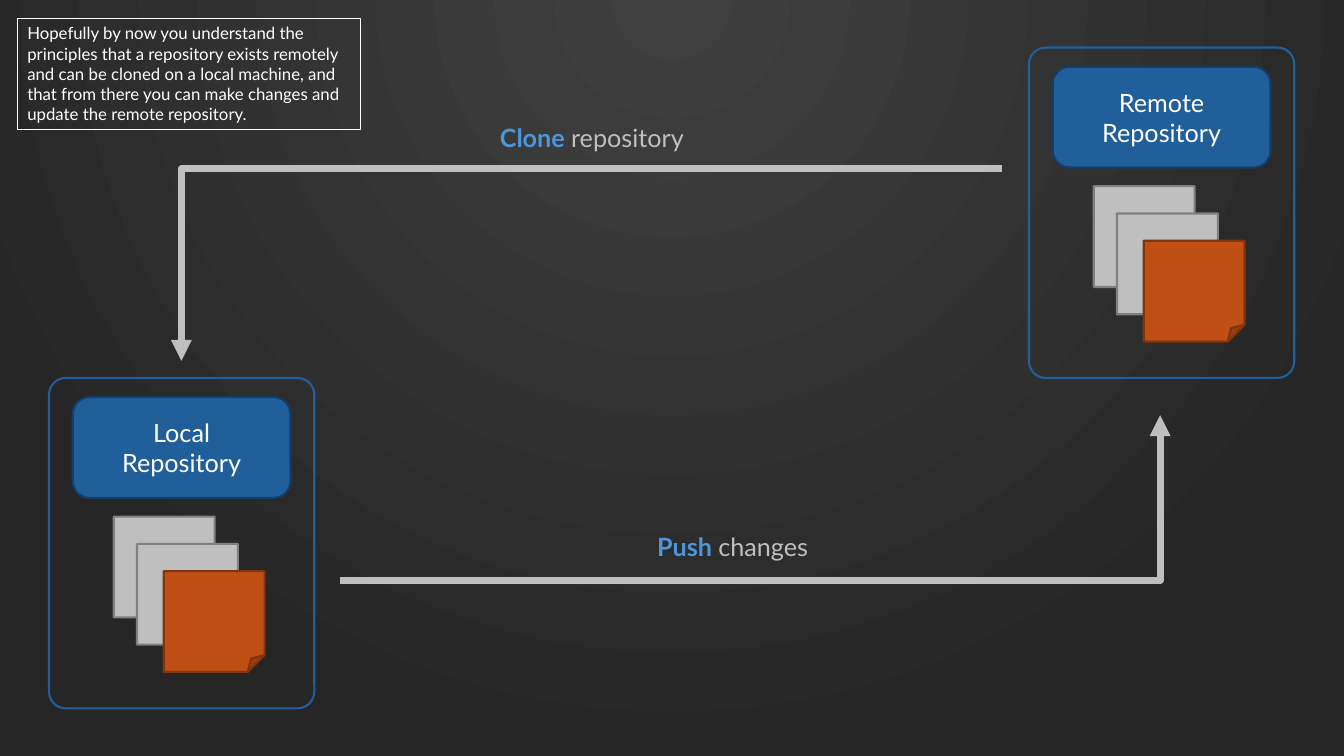
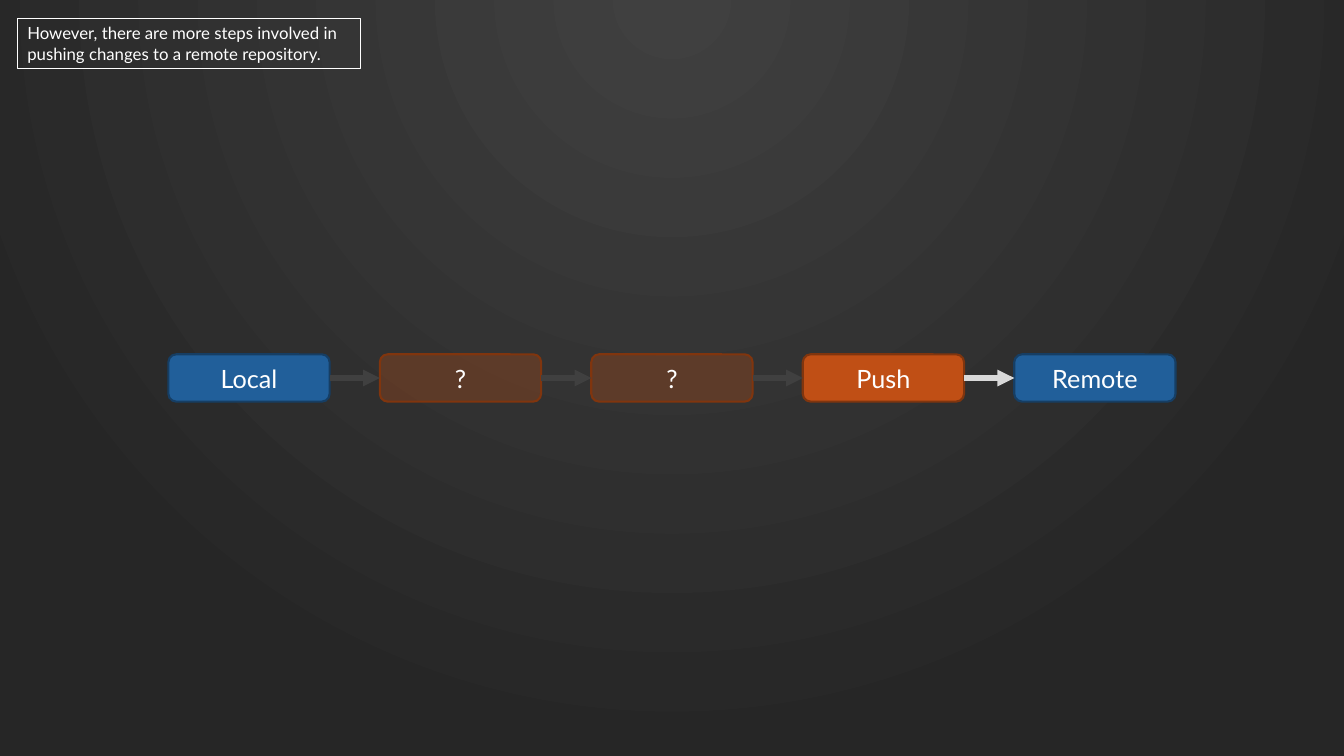
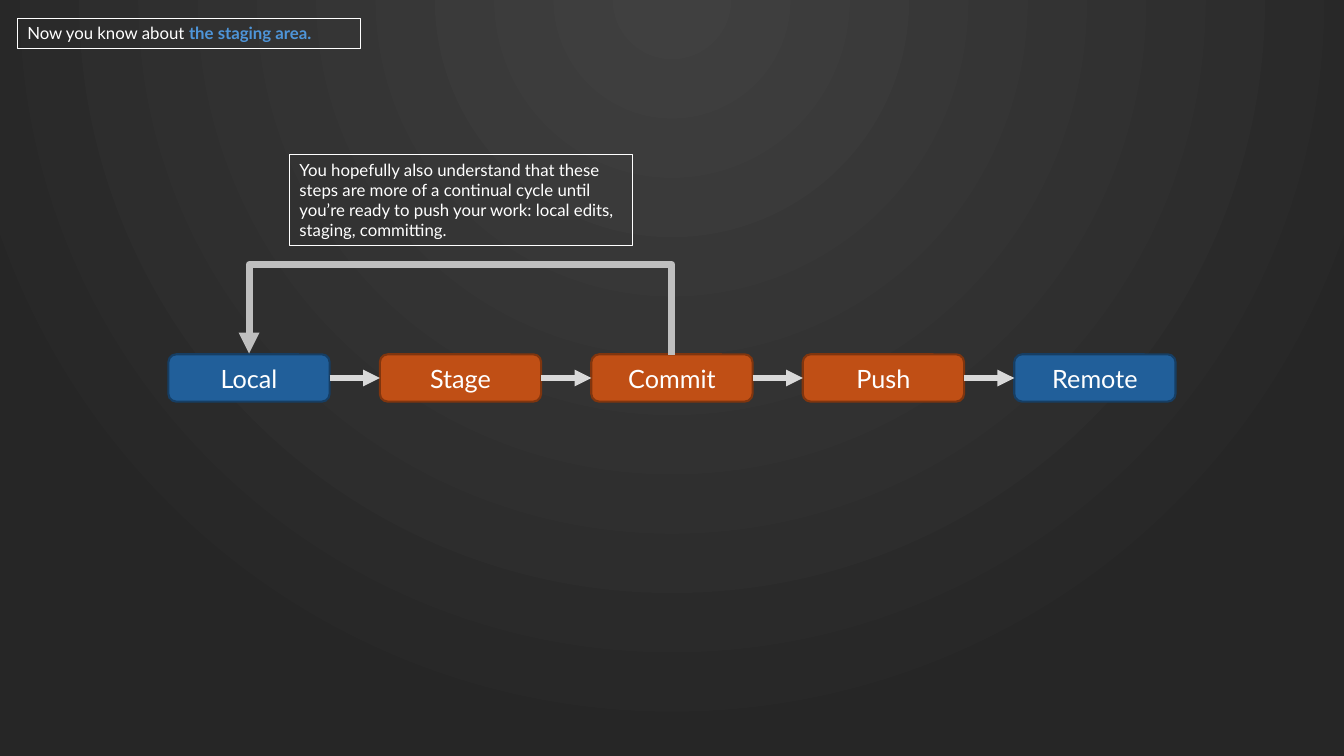
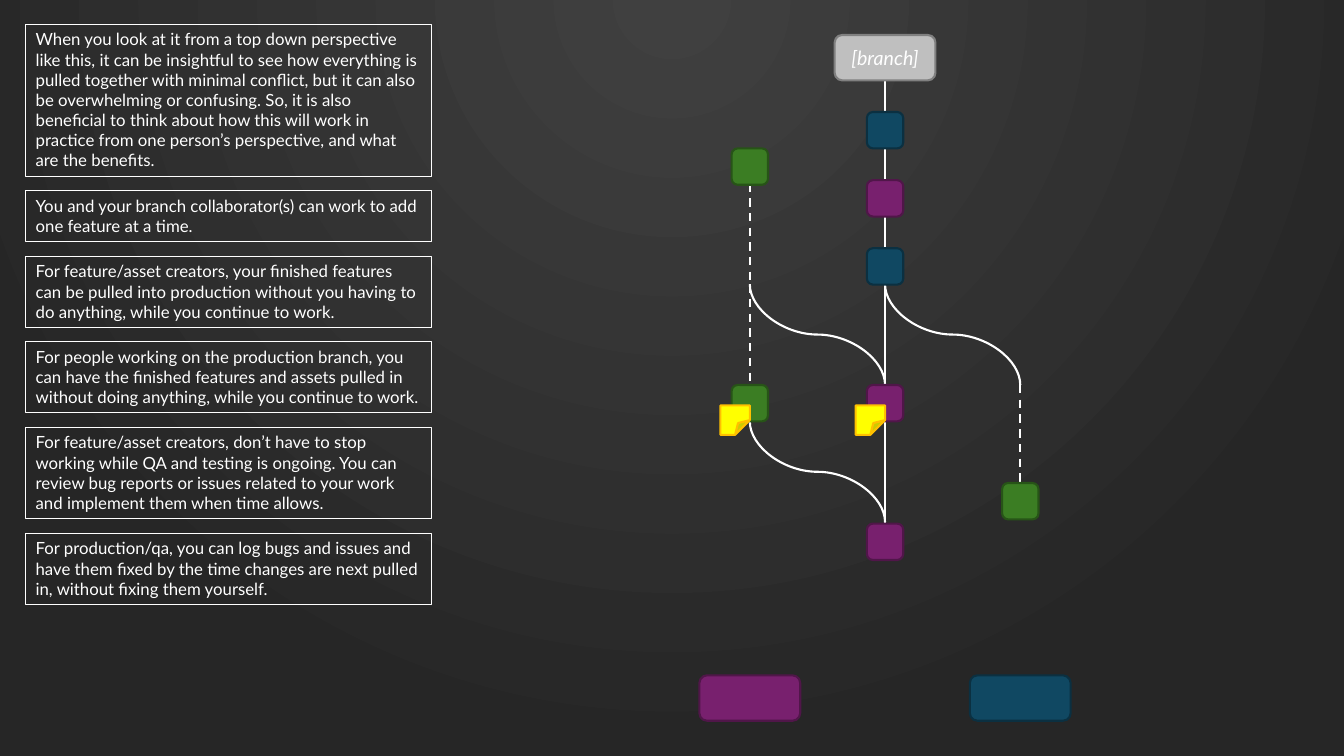
import lxml.etree
import pptx
import pptx.dml.color
import pptx.enum.dml
import pptx.enum.shapes
import pptx.enum.text
import pptx.oxml.ns
import pptx.util

Pt = pptx.util.Pt
RGBColor = pptx.dml.color.RGBColor
qn = pptx.oxml.ns.qn
SHAPE = pptx.enum.shapes.MSO_SHAPE
CONNECTOR = pptx.enum.shapes.MSO_CONNECTOR
ALIGN = pptx.enum.text.PP_ALIGN
ANCHOR = pptx.enum.text.MSO_ANCHOR
AUTO_SIZE = pptx.enum.text.MSO_AUTO_SIZE
DASH = pptx.enum.dml.MSO_LINE.DASH

FONT = "Lato"
WHITE = RGBColor(0xFF, 0xFF, 0xFF)
SILVER = RGBColor(0xBF, 0xBF, 0xBF)
PALE = RGBColor(0xD9, 0xD9, 0xD9)
CHARCOAL = RGBColor(0x40, 0x40, 0x40)
NEAR_BLACK = RGBColor(0x26, 0x26, 0x26)
HIGHLIGHT = RGBColor(0x4E, 0x95, 0xD9)

# Fill and outline pairs
BLUE = (RGBColor(0x21, 0x5F, 0x9A), RGBColor(0x16, 0x3E, 0x64))
ORANGE = (RGBColor(0xC0, 0x4F, 0x15), RGBColor(0x80, 0x35, 0x0E))
GRAY = (SILVER, RGBColor(0x80, 0x80, 0x80))
TEAL = (RGBColor(0x10, 0x48, 0x62), RGBColor(0x0B, 0x30, 0x41))
PURPLE = (RGBColor(0x78, 0x20, 0x6E), RGBColor(0x50, 0x16, 0x49))
GREEN = (RGBColor(0x3B, 0x7D, 0x23), RGBColor(0x27, 0x54, 0x17))
YELLOW = (RGBColor(0xFF, 0xFF, 0x00), RGBColor(0xFF, 0xC0, 0x00))
HOLLOW_BLUE = (None, BLUE[0])
HOLLOW_WHITE = (None, WHITE)

# Content: notes are (text, number of lines)
CLONE_NOTE = (
    "Hopefully by now you understand the principles that a repository exists remotely "
    "and can be cloned on a local machine, and that from there you can make changes and "
    "update the remote repository.", 5)
REPOSITORIES = [("Remote\nRepository", 735, 34), ("Local\nRepository", 35, 270)]
TRANSFERS = [
    ("Clone ", "repository", (350, 83.5, 147, 29), (715.7, 120.3), (129.6, 257.8)),
    ("Push ", "changes", (462.3, 376, 125, 29), (242.6, 414.7), (828.7, 296.6)),
]
STEPS_NOTE = (
    "However, there are more steps involved in pushing changes to a remote repository.", 2)
UNKNOWN_STEPS = [("Local", BLUE), ("?", ORANGE), ("?", ORANGE), ("Push", ORANGE),
                 ("Remote", BLUE)]
KNOWN_STEPS = [("Local", BLUE), ("Stage", ORANGE), ("Commit", ORANGE), ("Push", ORANGE),
               ("Remote", BLUE)]
CYCLE_NOTE = (
    "You hopefully also understand that these steps are more of a continual cycle until "
    "you’re ready to push your work: local edits, staging, committing.", 4)
BENEFITS = [
    ("When you look at it from a top down perspective like this, it can be insightful to "
     "see how everything is pulled together with minimal conflict, but it can also be "
     "overwhelming or confusing. So, it is also beneficial to think about how this will "
     "work in practice from one person’s perspective, and what are the benefits.", 7),
    ("You and your branch collaborator(s) can work to add one feature at a time.", 2),
    ("For feature/asset creators, your finished features can be pulled into production "
     "without you having to do anything, while you continue to work.", 3),
    ("For people working on the production branch, you can have the finished features "
     "and assets pulled in without doing anything, while you continue to work.", 3),
    ("For feature/asset creators, don’t have to stop working while QA and testing is "
     "ongoing. You can review bug reports or issues related to your work and implement "
     "them when time allows.", 4),
    ("For production/qa, you can log bugs and issues and have them fixed by the time "
     "changes are next pulled in, without fixing them yourself.", 3),
]

# Branch diagram: columns are centres, commits are (column, top, colours)
LEFT, MIDDLE, RIGHT = 535.6, 632.2, 728.8
COMMITS = [
    (MIDDLE, 80, TEAL), (MIDDLE, 128.7, PURPLE), (MIDDLE, 177.3, TEAL),
    (MIDDLE, 275, PURPLE), (MIDDLE, 374, PURPLE),
    (LEFT, 106, GREEN), (LEFT, 275, GREEN), (RIGHT, 345, GREEN),
]
STRAIGHT_LINKS = [(57.6, 80), (106, 128.7), (154.7, 177.3), (203, 275), (301.5, 374)]
DASHED_LINKS = [(LEFT, 131, 203), (LEFT, 203, 275), (RIGHT, 275, 347)]
MERGES = [(LEFT, MIDDLE, 203), (MIDDLE, RIGHT, 203), (LEFT, MIDDLE, 301)]
MERGE_HEIGHT = 72
COMMIT_SIZE = 26
PILL_WIDTH, PILL_HEIGHT = 72, 32.4
PILLS = [(MIDDLE, 25, GRAY, "[branch]"), (LEFT, 482.4, PURPLE, ""),
         (RIGHT, 482.4, TEAL, "")]
STICKERS = [LEFT, MIDDLE]

NOTE_WIDTH = 245
STEP_WIDTH, STEP_HEIGHT, STEP_PITCH = 115.2, 33.8, 151.05
STEP_LEFT, STEP_TOP = 120.3, 253.1


def child(parent, tag, **attributes):
    return lxml.etree.SubElement(parent, qn(tag), attributes)


def set_adjustment(properties, name, value):
    """Set a preset outline's adjustment, given as a fraction."""
    guides = properties.find(qn("a:prstGeom")).find(qn("a:avLst"))
    child(guides, "a:gd", name=name, fmla=f"val {round(value * 100000)}")


def set_background(master):
    """Give every slide a radial gradient centred above the top edge."""
    master.background.fill.gradient()
    gradient = master.element.find(".//" + qn("a:gradFill"))
    for part in list(gradient):
        gradient.remove(part)
    stops = child(gradient, "a:gsLst")
    for position, color in (("0", CHARCOAL), ("100000", NEAR_BLACK)):
        child(child(stops, "a:gs", pos=position), "a:srgbClr", val=str(color))
    circle = child(gradient, "a:path", path="circle")
    child(circle, "a:fillToRect", l="50000", t="-80000", r="50000", b="180000")


def add_text(paragraph, text, size, color=WHITE, bold=False, italic=False):
    for number, line in enumerate(text.split("\n")):
        if number:
            paragraph.add_line_break()
        run = paragraph.add_run()
        run.text = line
        run.font.name = FONT
        run.font.size = Pt(size)
        run.font.color.rgb = color
        run.font.bold = bold
        run.font.italic = italic


def add_box(slide, kind, box, colors, text="", size=18, italic=False, corner=None,
            opacity=None, line_width=1.5):
    shape = slide.shapes.add_shape(kind, *map(Pt, box))
    shape.shadow.inherit = False
    fill, outline = colors
    if fill is None:
        shape.fill.background()
    else:
        shape.fill.solid()
        shape.fill.fore_color.rgb = fill
    if opacity is not None:
        color = shape.element.spPr.find(qn("a:solidFill")).find(qn("a:srgbClr"))
        child(color, "a:alpha", val=str(opacity * 1000))
    shape.line.color.rgb = outline
    shape.line.width = Pt(line_width)
    if corner is not None:
        set_adjustment(shape.element.spPr, "adj", corner)
    if text:
        shape.text_frame.vertical_anchor = ANCHOR.MIDDLE
        paragraph = shape.text_frame.paragraphs[0]
        paragraph.alignment = ALIGN.CENTER
        add_text(paragraph, text, size, italic=italic)
    return shape


def add_note(slide, left, top, note, width=NOTE_WIDTH, highlight=""):
    """Draw an outlined note and return its height."""
    text, lines = note
    height = 7.2 + 14.5 * lines
    shape = add_box(slide, SHAPE.RECTANGLE, (left, top, width, height), HOLLOW_WHITE,
                    line_width=0.75)
    frame = shape.text_frame
    frame.word_wrap = True
    frame.auto_size = AUTO_SIZE.SHAPE_TO_FIT_TEXT
    frame.vertical_anchor = ANCHOR.TOP
    paragraph = frame.paragraphs[0]
    paragraph.alignment = ALIGN.LEFT
    add_text(paragraph, text, 12)
    if highlight:
        add_text(paragraph, highlight, 12, HIGHLIGHT, bold=True)
    return height


def connect(slide, kind, start, end, color=WHITE, width=1.5, arrow=False, dashed=False,
            upright=False, preset=None, bend=None):
    """Join two points; an upright connector leaves and arrives vertically."""
    points = [start, end]
    if upright:
        middle_x, middle_y = ((a + b) / 2 for a, b in zip(start, end))
        points = [(middle_x - (y - middle_y), middle_y + (x - middle_x))
                  for x, y in points]
    connector = slide.shapes.add_connector(
        kind, *(Pt(value) for point in points for value in point))
    connector.line.color.rgb = color
    connector.line.width = Pt(width)
    if dashed:
        connector.line.dash_style = DASH
    properties = connector.element.spPr
    if upright:
        properties.find(qn("a:xfrm")).set("rot", "16200000")
    if preset:
        properties.find(qn("a:prstGeom")).set("prst", preset)
    if bend is not None:
        set_adjustment(properties, "adj1", bend)
    if arrow:
        child(properties.find(qn("a:ln")), "a:tailEnd", type="triangle")
    child(properties, "a:effectLst")


def add_repository(slide, name, left, top):
    add_box(slide, SHAPE.ROUNDED_RECTANGLE, (left + 17, top + 13.7, 155.5, 72), BLUE, name)
    add_box(slide, SHAPE.ROUNDED_RECTANGLE, (left, top, 189.5, 236), HOLLOW_BLUE,
            corner=0.063)
    for across, down, colors in ((0, 0, GRAY), (16.6, 19.5, GRAY), (35.7, 39, ORANGE)):
        add_box(slide, SHAPE.FOLDED_CORNER,
                (left + 46.3 + across, top + 99 + down, 72, 72), colors)


def add_steps(slide, steps):
    middle = STEP_TOP + STEP_HEIGHT / 2
    for number, (name, colors) in enumerate(steps):
        left = STEP_LEFT + number * STEP_PITCH
        add_box(slide, SHAPE.ROUNDED_RECTANGLE, (left, STEP_TOP, STEP_WIDTH, STEP_HEIGHT),
                colors, name, opacity=30 if name == "?" else None)
        if number:
            unknown = "?" in (name, steps[number - 1][0])
            connect(slide, CONNECTOR.STRAIGHT, (left - STEP_PITCH + STEP_WIDTH, middle),
                    (left, middle), CHARCOAL if unknown else PALE, 4, arrow=True)


def build_clone_and_push(slide):
    for repository in REPOSITORIES:
        add_repository(slide, *repository)
    for verb, thing, box, start, end in TRANSFERS:
        connect(slide, CONNECTOR.ELBOW, start, end, SILVER, 5, arrow=True,
                preset="bentConnector2")
        frame = slide.shapes.add_textbox(*map(Pt, box)).text_frame
        frame.word_wrap = False
        frame.auto_size = AUTO_SIZE.SHAPE_TO_FIT_TEXT
        add_text(frame.paragraphs[0], verb, 18, HIGHLIGHT, bold=True)
        add_text(frame.paragraphs[0], thing, 18, SILVER)
    add_note(slide, 12.4, 13, CLONE_NOTE)


def build_unknown_steps(slide):
    add_steps(slide, UNKNOWN_STEPS)
    add_note(slide, 12.4, 13, STEPS_NOTE)


def build_commit_cycle(slide):
    add_steps(slide, KNOWN_STEPS)
    add_note(slide, 12.4, 13, ("Now you know about ", 1), highlight="the staging area.")
    local = STEP_LEFT + STEP_WIDTH / 2
    commit = local + 2 * STEP_PITCH
    # The two ends lie 1 pt apart, so the bend is also the rise in points
    connect(slide, CONNECTOR.ELBOW, (commit, STEP_TOP + 0.5), (local, STEP_TOP - 0.5),
            SILVER, 5, arrow=True, upright=True, bend=65.14)
    add_note(slide, 206.8, 110.3, CYCLE_NOTE)


def build_branches(slide):
    top = 17.3
    for note in BENEFITS:
        top += add_note(slide, 18.4, top, note, width=289.8) + 10.4

    for start, end in STRAIGHT_LINKS:
        connect(slide, CONNECTOR.STRAIGHT, (MIDDLE, start), (MIDDLE, end))
    for column, start, end in DASHED_LINKS:
        connect(slide, CONNECTOR.STRAIGHT, (column, start), (column, end), dashed=True)
    for column, target, start in MERGES:
        connect(slide, CONNECTOR.CURVE, (column, start), (target, start + MERGE_HEIGHT),
                upright=True, bend=0.5)
    for column, top, colors in COMMITS:
        add_box(slide, SHAPE.ROUNDED_RECTANGLE,
                (column - COMMIT_SIZE / 2, top, COMMIT_SIZE, COMMIT_SIZE), colors)
    for column, top, colors, name in PILLS:
        add_box(slide, SHAPE.ROUNDED_RECTANGLE,
                (column - PILL_WIDTH / 2, top, PILL_WIDTH, PILL_HEIGHT), colors, name,
                size=14, italic=True)
    for column in STICKERS:
        add_box(slide, SHAPE.FOLDED_CORNER, (column - 21, 289.6, 21, 21), YELLOW,
                corner=0.5)


def main():
    presentation = pptx.Presentation()
    presentation.slide_width = Pt(960)
    presentation.slide_height = Pt(540)
    set_background(presentation.slide_master)
    blank = presentation.slide_layouts.get_by_name("Blank")
    for build in (build_clone_and_push, build_unknown_steps, build_commit_cycle,
                  build_branches):
        build(presentation.slides.add_slide(blank))
    presentation.save("out.pptx")


if __name__ == "__main__":
    main()
